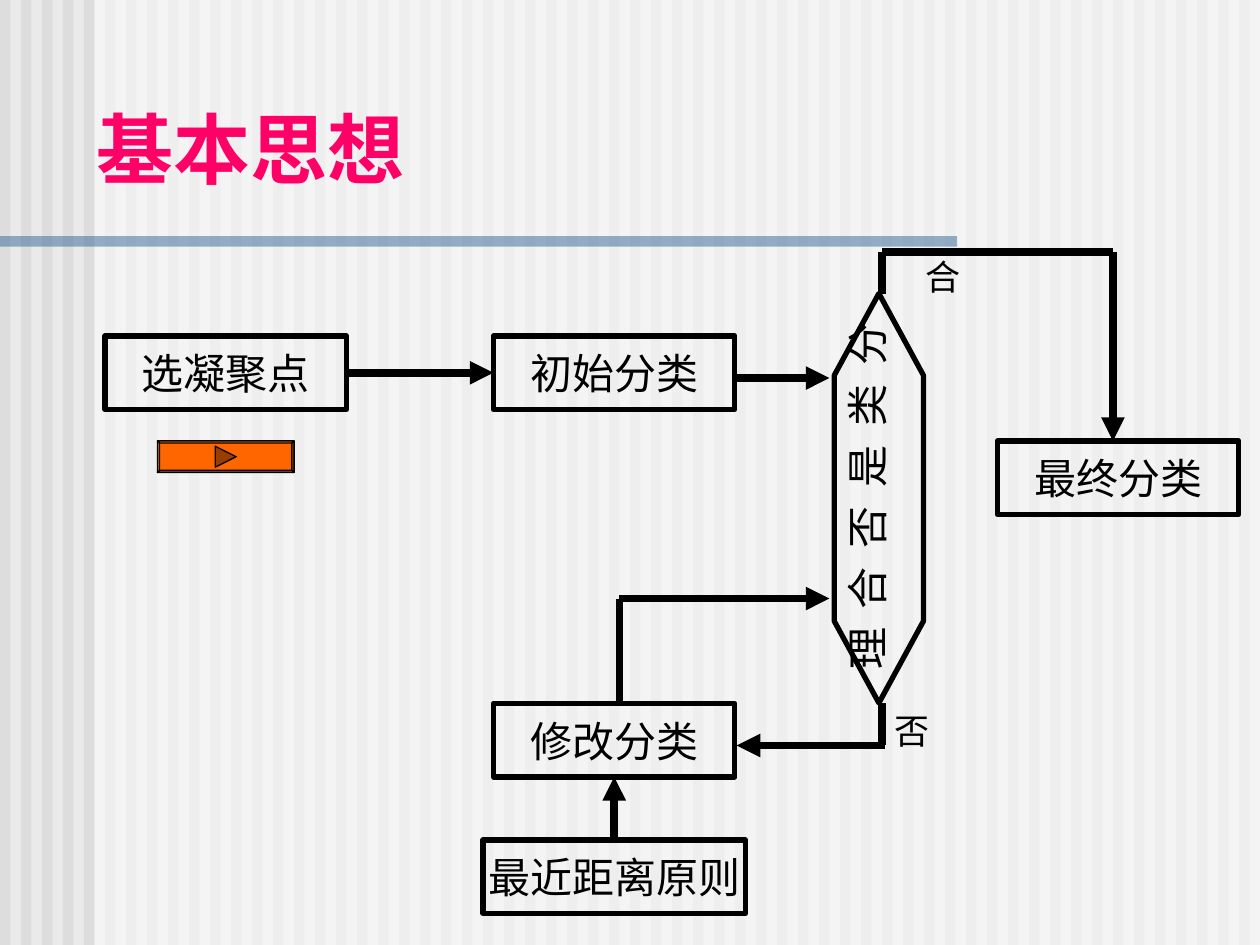
import lxml.etree
import pptx
import pptx.dml.color
import pptx.enum.shapes
import pptx.enum.text
import pptx.oxml.ns
import pptx.util

Pt = pptx.util.Pt
rgb = pptx.dml.color.RGBColor.from_string
qn = pptx.oxml.ns.qn
add = lxml.etree.SubElement
kinds = pptx.enum.shapes.MSO_SHAPE
anchor = pptx.enum.text.MSO_ANCHOR
center = pptx.enum.text.PP_ALIGN.CENTER

hues = {"back": "EAEAEA", "stripe": "DDDDDD", "veil": "FFFFFF",
        "rule": "336699", "title": "FF0066", "ink": "000000",
        "face": "FF6600", "lit": "FF8533", "dim": "CC5200", "dark": "993D00"}

deck = pptx.Presentation()
deck.slide_width, deck.slide_height = Pt(720), Pt(540)
slide = deck.slides.add_slide(deck.slide_layouts[6])
slide.background.fill.solid()
slide.background.fill.fore_color.rgb = rgb(hues["back"])
shapes = slide.shapes


def draw(kind, box, fill=None, alpha=None, line=None):
    item = shapes.add_shape(kind, *map(Pt, box))
    item.shadow.inherit = False
    if fill:
        item.fill.solid()
        item.fill.fore_color.rgb = rgb(hues[fill])
        if alpha:
            color = item.fill._xPr.find(".//" + qn("a:srgbClr"))
            add(color, qn("a:alpha"), val=str(alpha * 1000))
    else:
        item.fill.background()
    if line:
        item.line.color.rgb = rgb(hues["ink"])
        item.line.width = Pt(line)
    else:
        item.line.fill.background()
    return item


def write(item, lines, size, color="ink", bold=False, gap=0, align=None):
    frame = item.text_frame
    frame.text = "\n".join(lines)
    for para in frame.paragraphs:
        para.alignment = align
        para.space_before = Pt(gap)
        font = para.font
        font.size, font.bold, font.name = Pt(size), bold, "DejaVu Sans"
        font.color.rgb = rgb(hues[color])
        props = para._p.find(".//" + qn("a:defRPr"))
        add(props, qn("a:ea"), typeface="DejaVu Sans")
    return frame


# Striped backdrop, pale veil and rule
for step in range(60):
    draw(kinds.RECTANGLE, (12 * step, 0, 6, 540), "stripe")
draw(kinds.RECTANGLE, (54, 0, 666, 540), "veil", 50)
draw(kinds.RECTANGLE, (0, 135, 547, 6), "rule", 50)

# Title
title = shapes.add_textbox(Pt(48), Pt(54), Pt(209.5), Pt(60.5))
frame = write(title, ["基本思想"], 44, "title", True)
frame.word_wrap = True
frame.vertical_anchor = anchor.BOTTOM

# Process boxes
boxes = {}
for text, left, top, width in [("最终分类", 570, 252, 138),
                               ("选凝聚点", 60, 192, 138),
                               ("修改分类", 282, 402, 138),
                               ("初始分类", 282, 192, 138),
                               ("最近距离原则", 276, 480, 150)]:
    box = draw(kinds.RECTANGLE, (left, top, width, 42), line=3)
    frame = write(box, [text], 24, gap=6, align=center)
    frame.word_wrap = False
    frame.vertical_anchor = anchor.MIDDLE
    boxes[text] = box

# Upright decision shape, one character to a line
test = draw(kinds.FLOWCHART_PREPARATION, (385.2, 259.2, 234, 51), line=3)
test.rotation = 90
frame = write(test, "分类是否合理", 24, gap=6, align=center)
frame.word_wrap = False
frame.vertical_anchor = anchor.MIDDLE
frame.margin_left = frame.margin_right = Pt(3.6)
frame.margin_top = frame.margin_bottom = Pt(7.2)
body = frame._txBody.bodyPr
body.set("vert", "eaVert")
body.set("rot", "10800000")

# Flow lines: ends, arrowhead, and the boxes joined with their sides
for ends, head, start, stop in [
        ((198, 213, 282, 213), True, ("选凝聚点", 3), ("初始分类", 1)),
        ((420, 216, 474, 216), True, None, None),
        ((504, 144, 636, 144), False, None, None),
        ((504, 168, 504, 144), False, None, None),
        ((636, 144, 636, 252), True, None, None),
        ((504, 402, 504, 426), False, None, None),
        ((505.5, 426, 421, 426), True, None, None),
        ((351, 480, 351, 444), True, ("最近距离原则", 0), ("修改分类", 2)),
        ((354, 402, 354, 342), False, None, None),
        ((354, 342, 474, 342), True, None, None)]:
    link = shapes.add_connector(pptx.enum.shapes.MSO_CONNECTOR.STRAIGHT,
                                *map(Pt, ends))
    if start:
        link.begin_connect(boxes[start[0]], start[1])
        link.end_connect(boxes[stop[0]], stop[1])
    link.line.color.rgb = rgb(hues["ink"])
    link.line.width = Pt(4.5)
    if head:
        add(link.line._get_or_add_ln(), qn("a:tailEnd"), type="triangle")
    add(link._element.spPr, qn("a:effectLst"))

# Branch labels
for text, left, top in [("合", 522, 142.5), ("否", 504, 402)]:
    label = shapes.add_textbox(Pt(left), Pt(top), Pt(54), Pt(31.5))
    write(label, [text], 20, gap=12.5).word_wrap = True

# Forward button: face, bevelled edges and triangle
outer = [(90, 252), (168, 252), (168, 270), (90, 270)]
inner = [(91.2, 253.2), (166.8, 253.2), (166.8, 268.8), (91.2, 268.8)]
parts = [(outer, "face")]
for side, hue in enumerate(["lit", "dark", "dim", "lit"]):
    after = (side + 1) % 4
    parts.append(([outer[side], outer[after], inner[after], inner[side]], hue))
parts.append(([(123, 255), (135, 261), (123, 267)], "dark"))
for points, hue in parts:
    points = [(Pt(x), Pt(y)) for x, y in points]
    path = shapes.build_freeform(*points[0])
    path.add_line_segments(points[1:], close=True)
    part = path.convert_to_shape()
    part.shadow.inherit = False
    part.fill.solid()
    part.fill.fore_color.rgb = rgb(hues[hue])
    part.line.color.rgb = rgb(hues["ink"])
    part.line.width = Pt(0.75)

deck.save("out.pptx")
